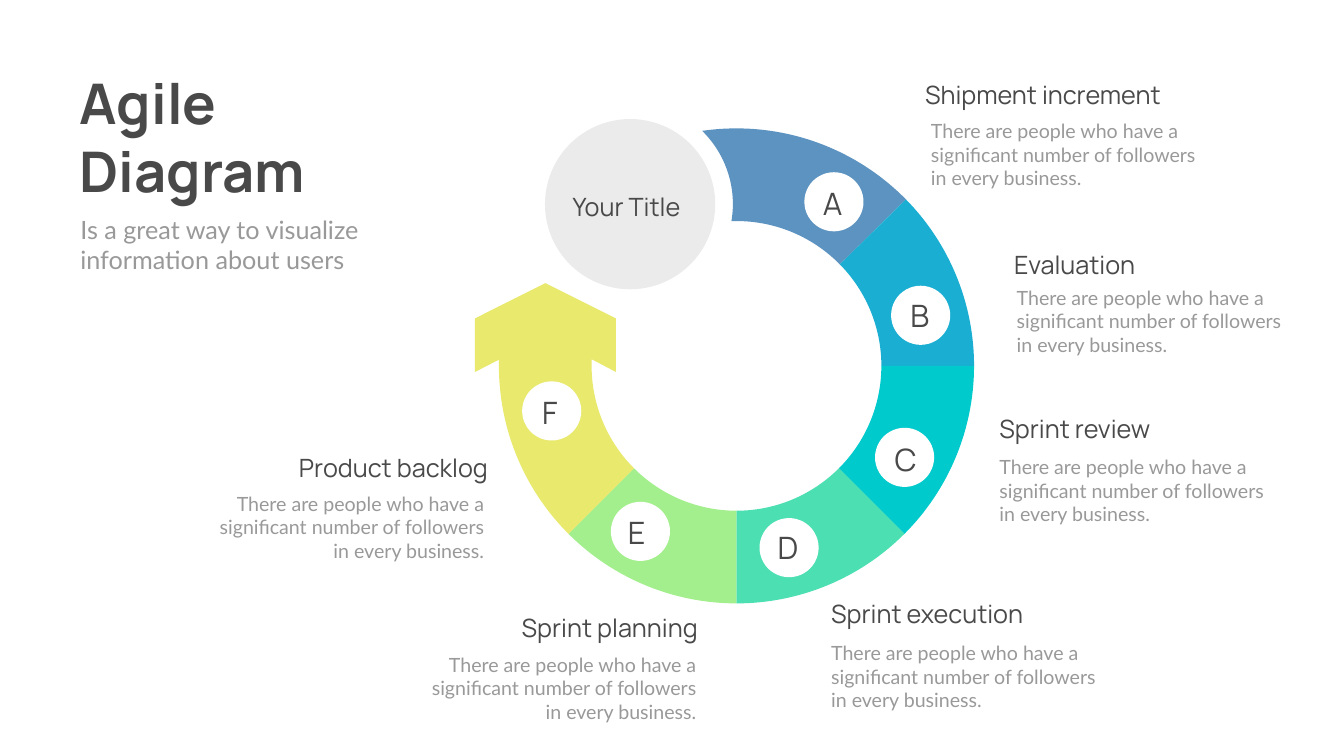
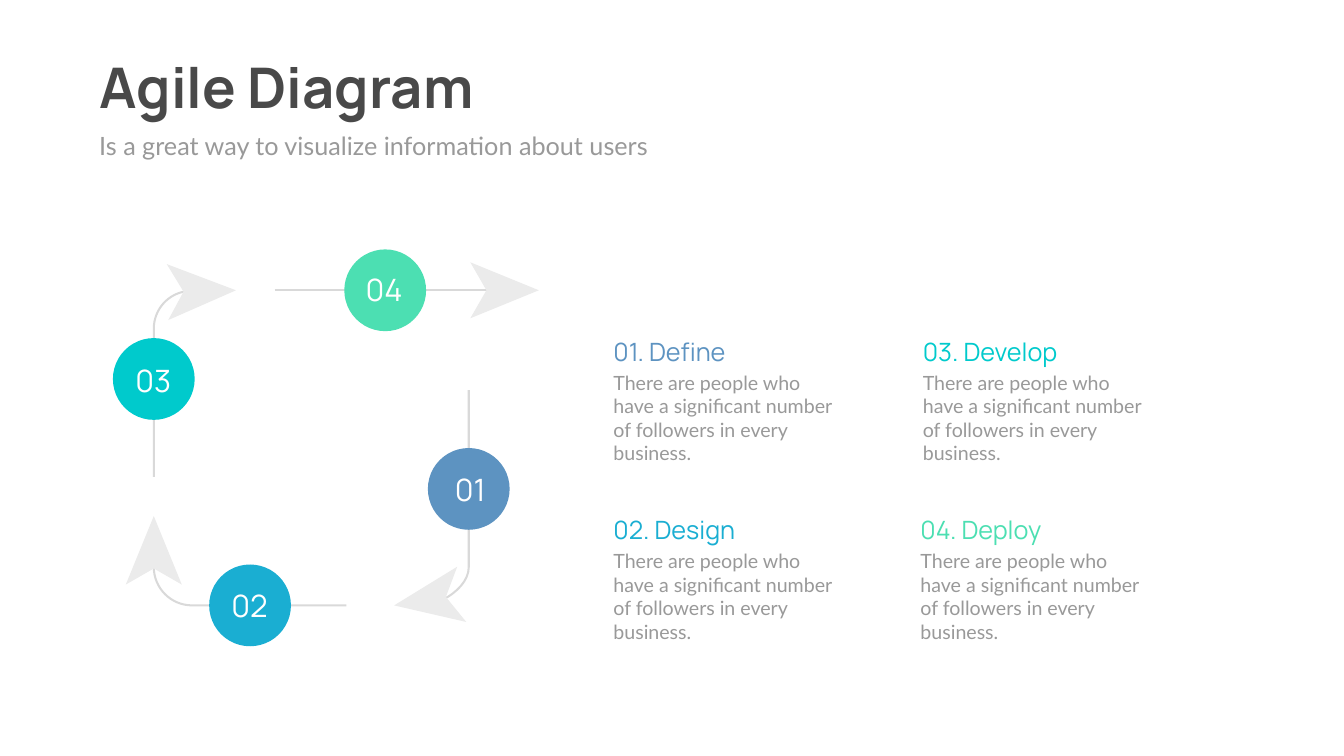
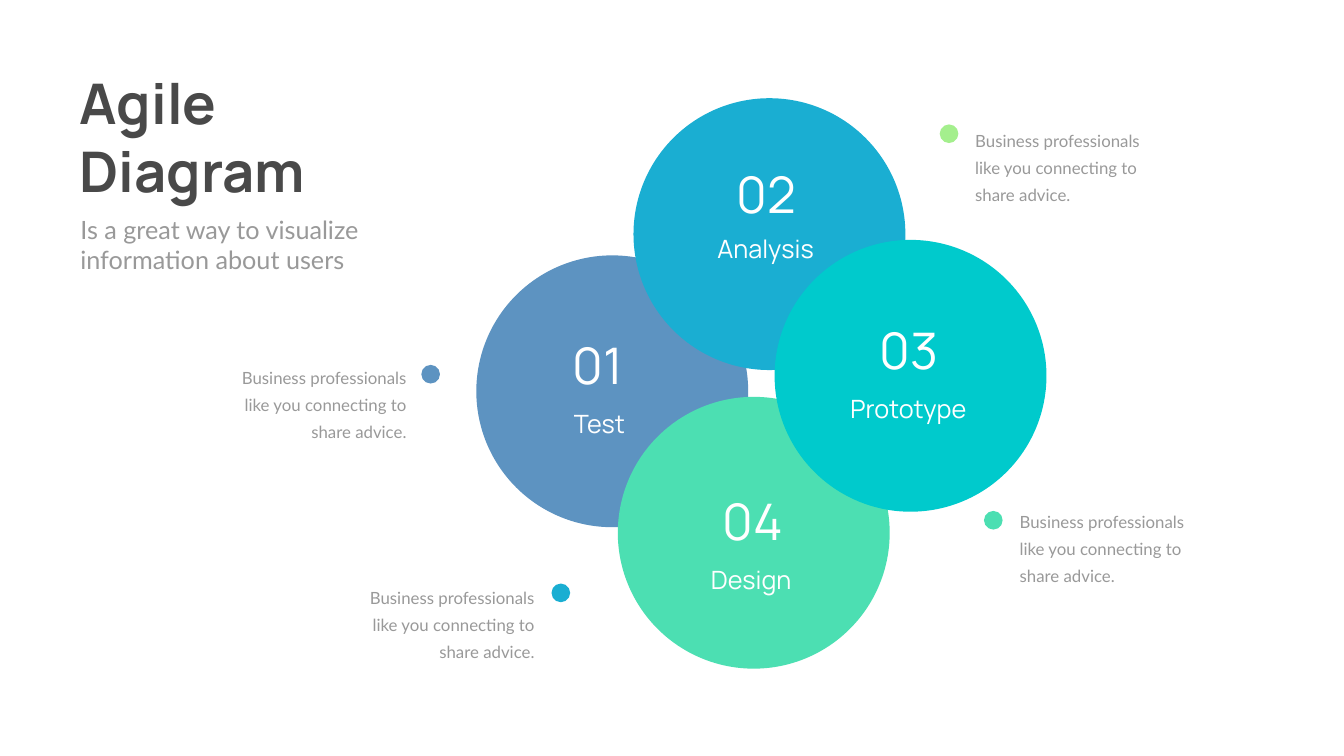
import math

import lxml.etree
import pptx
import pptx.dml.color
import pptx.enum.shapes
import pptx.enum.text
import pptx.oxml.ns
import pptx.util

Cm = pptx.util.Cm
Pt = pptx.util.Pt
RGB = pptx.dml.color.RGBColor
qn = pptx.oxml.ns.qn
ALIGN = {
    "left": pptx.enum.text.PP_ALIGN.LEFT,
    "center": pptx.enum.text.PP_ALIGN.CENTER,
    "right": pptx.enum.text.PP_ALIGN.RIGHT,
}

# Colours and fonts
DARK = RGB(0x49, 0x49, 0x49)
GRAY = RGB(0x99, 0x99, 0x99)
PALE = RGB(0xEB, 0xEB, 0xEB)
RULE = RGB(0xD9, 0xD9, 0xD9)
WHITE = RGB(0xFF, 0xFF, 0xFF)
BLUE = RGB(0x5D, 0x93, 0xC1)
SKY = RGB(0x1A, 0xAE, 0xD2)
TEAL = RGB(0x00, 0xCA, 0xCC)
MINT = RGB(0x4C, 0xDF, 0xB2)
LIME = RGB(0xA4, 0xEF, 0x8D)
LEMON = RGB(0xE8, 0xE9, 0x6D)
HEAD, BODY = "Manrope", "Lato"

# Shared wording
TITLE = "Agile Diagram"
LEAD = "Is a great way to visualize information about users"
NOTE = ("There are people who have a significant number of followers "
        "in every business.")
TIP = "Business professionals like you connecting to share advice."

# Title box and lead box: left, top, width, height in cm
TALL = [(3.75, 3.35, 16.97, 7.09), (3.8, 10.68, 18.39, 3.33)]
SLIM = [TALL[0], (3.8, 10.68, 16.31, 3.33)]
WIDE = [(4.75, 2.5, 30.81, 3.68), (4.75, 6.45, 33.45, 1.8)]

# Cycle: ring of lettered steps
RING, OUTER, INNER = (37.11, 18.44), 11.97, 7.3
HUB, HUB_R, GAP_R = (31.75, 10.29), 4.29, 5.18
CUTS = [-44.5, 0, 45, 90, 135]
ARROW = [(23.93, 18.75), (23.93, 16.05), (27.48, 14.27),
         (31.04, 16.05), (31.04, 18.75)]
# letter, its centre, badge centre, heading, heading box, note box, side
STEPS = [
    ("A", (41.96, 10.26), (42.02, 10.17), "Shipment increment",
     (46.36, 3.86, 15.98, 1.8), (46.66, 5.88, 14.15, 3.84), "left"),
    ("B", (46.35, 15.9), (46.39, 15.89), "Evaluation",
     (50.85, 12.45, 12.42, 1.8), (50.98, 14.27, 14.15, 3.84), "left"),
    ("C", (45.64, 23.16), (45.58, 23.05), "Sprint review",
     (50.11, 20.7, 12.42, 1.8), (50.11, 22.81, 14.15, 3.84), "left"),
    ("D", (39.7, 27.61), (39.76, 27.6), "Sprint execution",
     (41.63, 30.02, 12.42, 1.8), (41.63, 32.18, 14.15, 3.84), "left"),
    ("E", (32.08, 26.85), (32.27, 26.78), "Sprint planning",
     (22.99, 30.71, 12.42, 1.8), (20.55, 32.77, 14.78, 3.84), "right"),
    ("F", (27.71, 20.78), (27.8, 20.71), "Product backlog",
     (12.42, 22.68, 12.42, 1.8), (9.86, 24.66, 14.78, 3.84), "right"),
]

# Loop: number, its centre, name, colour, disc centre, left and top of text
STAGES = [
    ("01", (23.7, 24.66), "Define", BLUE, (23.62, 24.64), (30.66, 16.81)),
    ("02", (12.57, 30.5), "Design", SKY, (12.6, 30.51), (30.66, 25.81)),
    ("03", (7.72, 19.15), "Develop", TEAL, (7.75, 19.1), (46.25, 16.81)),
    ("04", (19.35, 14.58), "Deploy", MINT, (19.41, 14.63), (46.13, 25.81)),
]
# arrowhead tip and heading in degrees
TIPS = [((27.15, 14.63), 0), ((11.89, 14.63), -1.5),
        ((7.75, 26.01), -90), ((19.86, 30.51), 170.7)]

# Circles: number, name, colour, then centres of circle, number and name
CIRCLES = [
    ("01", "Test", BLUE, (30.85, 19.72), (30.11, 18.38), (30.21, 21.37)),
    ("02", "Analysis", SKY, (38.77, 11.8), (38.62, 9.77), (38.58, 12.51)),
    ("04", "Design", MINT, (37.98, 26.85), (37.93, 26.23), (37.85, 29.22)),
    ("03", "Prototype", TEAL, (45.88, 18.94), (45.81, 17.6), (45.77, 20.59)),
]
# left and top of the tip, side, dot centre, dot colour
NOTES = [
    ((11.33, 18.06), "right", (21.7, 18.86), BLUE),
    ((17.78, 29.13), "right", (28.26, 29.88), SKY),
    ((51.13, 25.3), "left", (50.05, 26.22), MINT),
    ((48.89, 6.13), "left", (47.82, 6.74), LIME),
]


def write(slide, text, box, size=36, font=HEAD, color=DARK, bold=False,
          align="left", pitch=None):
    shape = slide.shapes.add_textbox(*map(Cm, box))
    frame = shape.text_frame
    frame.word_wrap = True
    frame.auto_size = pptx.enum.text.MSO_AUTO_SIZE.SHAPE_TO_FIT_TEXT
    para = frame.paragraphs[0]
    para.alignment = ALIGN[align]
    if pitch:
        para.line_spacing = Pt(pitch)
    run = para.add_run()
    run.text = text
    run.font.name, run.font.size = font, Pt(size)
    run.font.color.rgb, run.font.bold = color, bold


def about(mid, wide, high):
    """Box of the given size centred on a point."""
    return mid[0] - wide / 2, mid[1] - high / 2, wide, high


def arc(mid, radius, start, end):
    """First point and one curve of an arc, degrees clockwise from right."""
    low, high = math.radians(start), math.radians(end)
    pull = 4 / 3 * math.tan((high - low) / 4)

    def spot(turn, lean):
        cos, sin = math.cos(turn), math.sin(turn)
        return (mid[0] + radius * (cos - lean * sin),
                mid[1] + radius * (sin + lean * cos))

    return [spot(low, 0),
            (spot(low, pull), spot(high, -pull), spot(high, 0))]


def paint(shape, color):
    shape.shadow.inherit = False
    shape.fill.solid()
    shape.fill.fore_color.rgb = color
    shape.line.fill.background()


def disc(slide, mid, radius, color):
    box = about(mid, 2 * radius, 2 * radius)
    oval = pptx.enum.shapes.MSO_SHAPE.OVAL
    paint(slide.shapes.add_shape(oval, *map(Cm, box)), color)


def trace(slide, parts, close):
    """Outline of points and curves; a curve is a tuple of three points."""
    groups = [part if len(part) == 3 else (part,) for part in parts]
    spots = [(Cm(x), Cm(y)) for group in groups for x, y in group]
    pen = slide.shapes.build_freeform(*spots[0])
    pen.add_line_segments(spots[1:], close=close)
    shape = pen.convert_to_shape()
    steps = iter(list(shape._element.iter(qn("a:lnTo"))))
    for group in groups[1:]:
        first, *rest = [next(steps) for _ in group]
        if rest:
            curve = lxml.etree.Element(qn("a:cubicBezTo"))
            first.addprevious(curve)
            for step in (first, *rest):
                curve.append(step[0])
                step.getparent().remove(step)
    return shape


def area(slide, parts, color):
    paint(trace(slide, parts, True), color)


def stroke(line):
    line.color.rgb = RULE
    line.width = Pt(2.9)


def track(slide, parts):
    """Open line that may bend."""
    shape = trace(slide, parts, False)
    shape.shadow.inherit = False
    shape.fill.background()
    stroke(shape.line)


def straight(slide, start, end):
    kind = pptx.enum.shapes.MSO_CONNECTOR.STRAIGHT
    link = slide.shapes.add_connector(kind, *map(Cm, start + end))
    stroke(link.line)
    lxml.etree.SubElement(link._element.spPr, qn("a:effectLst"))


def barb(slide, tip, angle):
    """Notched arrowhead pointing along the angle."""
    turn = math.radians(angle)
    cos, sin = math.cos(turn), math.sin(turn)
    shape = [(0, 0), (-3.45, 1.41), (-2.64, 0), (-3.45, -1.41)]
    area(slide, [(tip[0] + x * cos - y * sin, tip[1] + x * sin + y * cos)
                 for x, y in shape], PALE)


def start(deck, boxes):
    """Add a slide with the shared title and lead."""
    slide = deck.slides.add_slide(deck.slide_layouts[6])
    write(slide, TITLE, boxes[0], size=80, bold=True)
    write(slide, LEAD, boxes[1], font=BODY, color=GRAY)
    return slide


def cycle(deck):
    slide = start(deck, TALL)
    area(slide, arc(RING, OUTER, -98.3, -90)
         + arc(RING, OUTER, -90, CUTS[0])[1:]
         + arc(RING, INNER, CUTS[0], -92)
         + arc(HUB, GAP_R, 9.6, -45.4)[1:], BLUE)
    for low, high, color in zip(CUTS, CUTS[1:], (SKY, TEAL, MINT, LIME)):
        area(slide, arc(RING, OUTER, low, high)
             + arc(RING, INNER, high, low), color)
    area(slide, arc(RING, OUTER, 135, 181.5) + ARROW
         + arc(RING, INNER, 182.6, 135), LEMON)
    for _, _, mid, *_ in STEPS:
        disc(slide, mid, 1.49, WHITE)
    disc(slide, HUB, HUB_R, PALE)
    write(slide, "Your Title", (28.09, 9.5, 6.96, 1.8), align="center")
    for letter, spot, _, name, top, note, side in STEPS:
        write(slide, letter, about(spot, 1.83, 2.13), size=44,
              align="center")
        write(slide, name, top, align=side)
        write(slide, NOTE, note, size=28, font=BODY, color=GRAY, align=side)


def loop(deck):
    slide = start(deck, WIDE)
    straight(slide, (13.84, 14.63), (24.69, 14.63))
    track(slide, [(7.75, 24.03)] + arc((9.65, 16.56), 1.9, 180, 264))
    track(slide, [(17.45, 30.51)] + arc((9.68, 28.58), 1.93, 90, 180)
          + [(7.75, 28.47)])
    track(slide, [(23.62, 19.66), (23.62, 28.58),
                  ((23.62, 29.26), (23.01, 29.87), (22.3, 30.23))])
    for tip, angle in TIPS:
        barb(slide, tip, angle)
    for number, spot, name, color, mid, (x, y) in STAGES:
        disc(slide, mid, 2.06, color)
        write(slide, number, about(spot, 3.25, 2.13), size=44, color=WHITE,
              align="center")
        write(slide, f"{number}. {name}", (x, y, 8.46, 1.8), color=color)
        write(slide, NOTE, (x, y + 1.75, 11.96, 2.64), size=28, font=BODY,
              color=GRAY)


def circles(deck):
    slide = start(deck, SLIM)
    for _, _, color, mid, _, _ in CIRCLES:
        disc(slide, mid, 6.85, color)
    for number, name, _, _, upper, lower in CIRCLES:
        write(slide, number, about(upper, 7.65, 3.33), size=72, color=WHITE,
              align="center")
        write(slide, name, about(lower, 7.65, 1.8), color=WHITE,
              align="center")
    for corner, side, dot, color in NOTES:
        write(slide, TIP, corner + (9.4, 4.27), size=24, font=BODY,
              color=GRAY, align=side, pitch=38.6)
        disc(slide, dot, 0.47, color)


def main():
    deck = pptx.Presentation()
    deck.slide_width, deck.slide_height = Cm(67.72), Cm(38.1)
    cycle(deck)
    loop(deck)
    circles(deck)
    deck.save("out.pptx")


if __name__ == "__main__":
    main()
